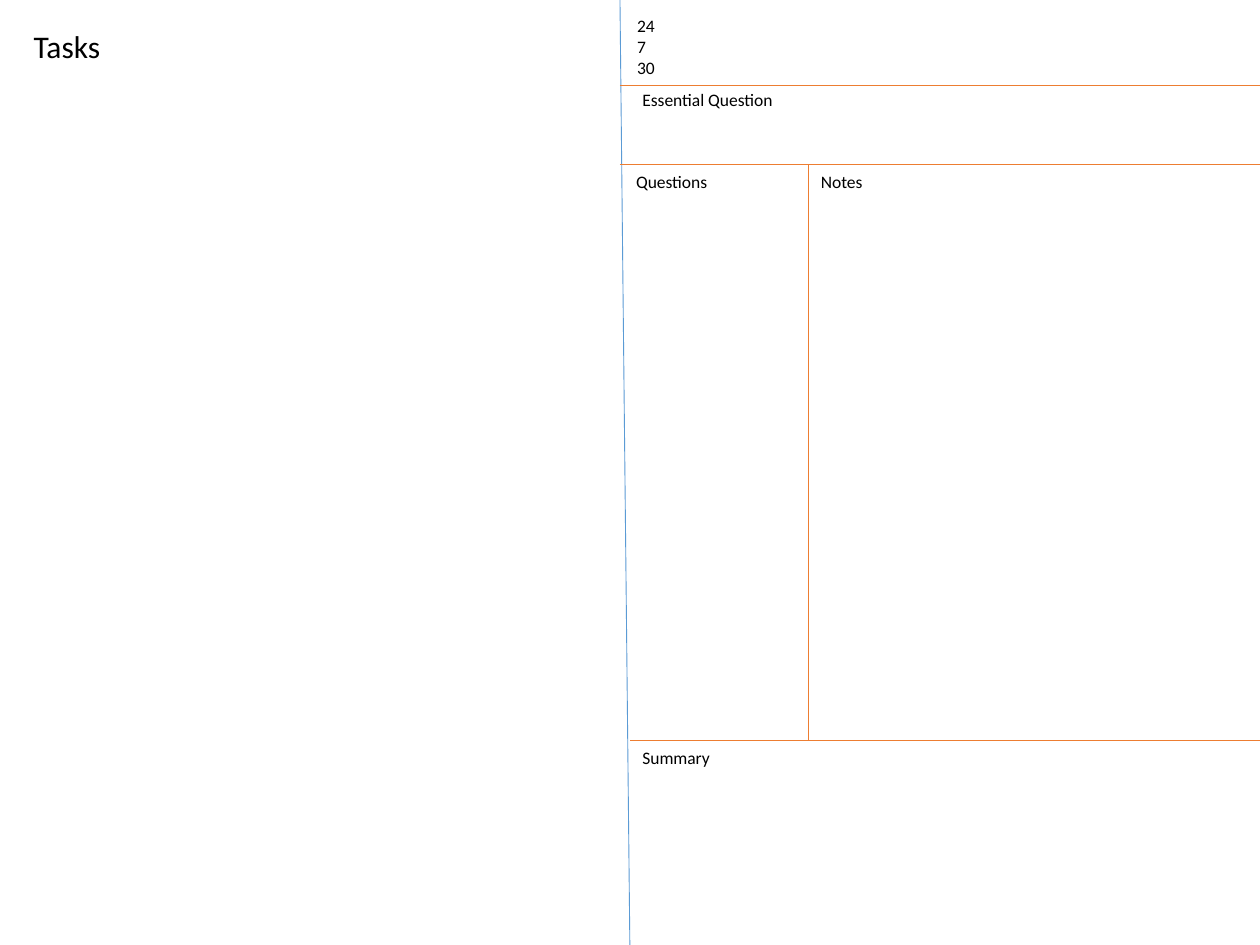
from pptx import Presentation
from pptx.dml.color import RGBColor as RGB
from pptx.enum.shapes import MSO_CONNECTOR as CONN
from pptx.enum.text import MSO_ANCHOR as ANCHOR, MSO_AUTO_SIZE as AUTO, PP_ALIGN as ALIGN
from pptx.oxml.ns import qn
from pptx.util import Pt
from lxml.etree import SubElement

COLORS = {"text": "000000", "margin": "5B9BD5", "rule": "ED7D31"}

# Page grid, in points
WIDTH, HEIGHT = 720, 540
MARGIN_TOP, MARGIN_BOTTOM = 354.3, 360
HEADER_Y, BODY_Y, SUMMARY_Y = 49, 94.2, 423.2
NOTES_X = 462


class NotesPage:
    font = {"name": "Calibri", "bold": False}
    line_width = 0.5

    def __init__(self, prs):
        self.s = prs.slides.add_slide(prs.slide_layouts[5])

    def line(self, x1, y1, x2, y2, color):
        c = self.s.shapes.add_connector(CONN.STRAIGHT, Pt(x1), Pt(y1), Pt(x2), Pt(y2))
        c.line.color.rgb = RGB.from_string(COLORS[color])
        c.line.width = Pt(self.line_width)
        SubElement(c._element.spPr, qn("a:effectLst"))

    def fill_text(self, sp, lines, size, wrap=False):
        tf = sp.text_frame
        frame = {"word_wrap": wrap, "auto_size": AUTO.SHAPE_TO_FIT_TEXT,
                 "vertical_anchor": ANCHOR.TOP}
        for key, value in frame.items():
            setattr(tf, key, value)
        for i, line in enumerate(lines):
            p = tf.add_paragraph() if i else tf.paragraphs[0]
            p.alignment = ALIGN.LEFT
            r = p.add_run()
            r.text = line
            for key, value in {**self.font, "size": Pt(size)}.items():
                setattr(r.font, key, value)
            r.font.color.rgb = RGB.from_string(COLORS["text"])

    def title(self, x, y, w, h, text):
        sp = self.s.shapes.title
        for key, value in {"left": x, "top": y, "width": w, "height": h}.items():
            setattr(sp, key, Pt(value))
        self.fill_text(sp, [text], 18)

    def label(self, x, y, w, h, *lines, wrap=False):
        sp = self.s.shapes.add_textbox(Pt(x), Pt(y), Pt(w), Pt(h))
        self.fill_text(sp, lines, 10, wrap)


def main():
    prs = Presentation()
    prs.slide_width, prs.slide_height = Pt(WIDTH), Pt(HEIGHT)
    page = NotesPage(prs)

    # Slanted margin and section rules
    page.line(MARGIN_TOP, 0, MARGIN_BOTTOM, 548, "margin")
    for x1, x2, y in [(MARGIN_TOP, WIDTH, HEADER_Y), (MARGIN_TOP, WIDTH, BODY_Y),
                      (MARGIN_BOTTOM, 732, SUMMARY_Y)]:
        page.line(x1, y, x2, y, "rule")
    page.line(NOTES_X, BODY_Y, NOTES_X, SUMMARY_Y, "rule")

    # Header numbers
    page.label(357, 5, 34, 44, "24", "7", "30", wrap=True)

    # Section labels
    for x, y, w, text in [(MARGIN_BOTTOM, 47.5, 90, "Essential Question"),
                          (NOTES_X, BODY_Y, 39, "Notes"),
                          (356.4, BODY_Y, 56, "Questions"),
                          (MARGIN_BOTTOM, SUMMARY_Y, 53, "Summary")]:
        page.label(x, y, w, 19.4, text)

    # Left page title
    page.title(12, 11.8, 52.6, 29, "Tasks")

    prs.save("out.pptx")


if __name__ == "__main__":
    main()
